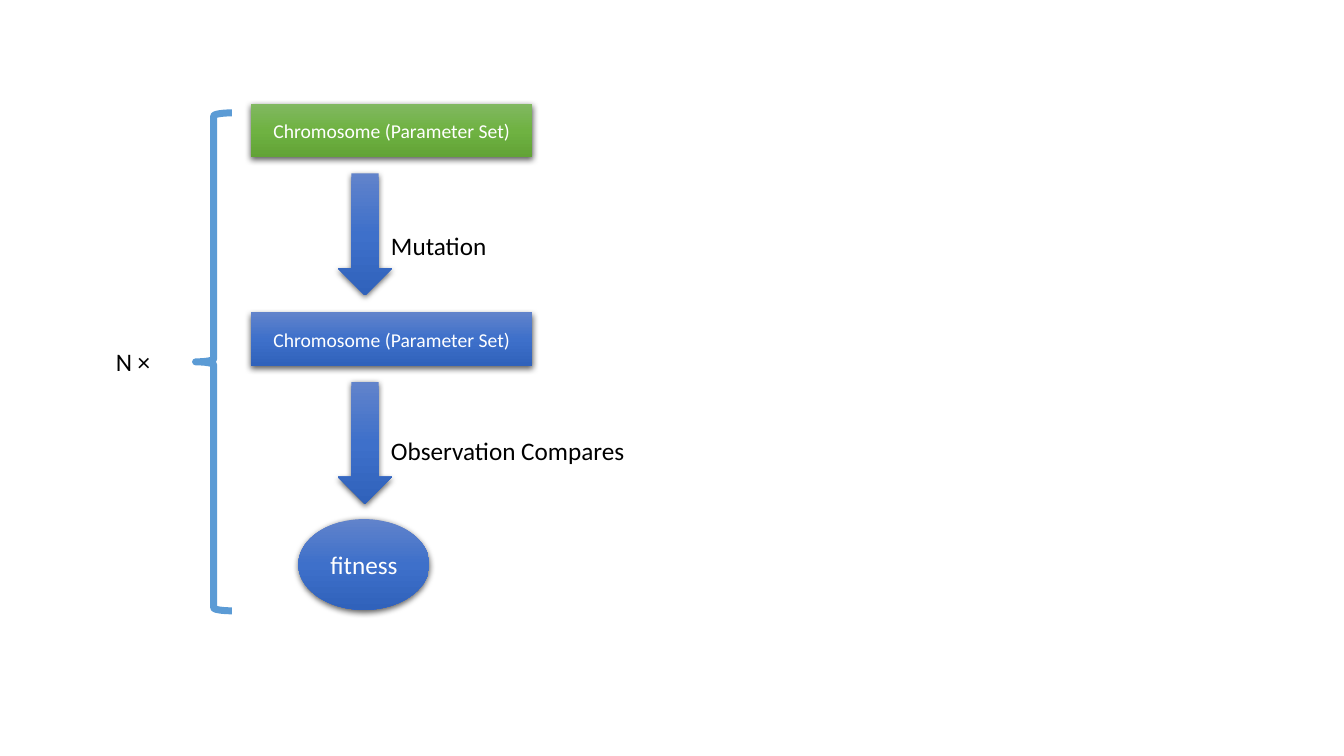
from lxml import etree
from pptx import Presentation
from pptx import util as u
from pptx.dml.color import RGBColor
from pptx.enum import shapes, text
from pptx.oxml.ns import nsdecls, qn

# Content
FONT = "Calibri"
COLORS = {"brace": "5B9BD5", "label": "000000", "node": "FFFFFF", "shadow": "000000"}
GRADIENTS = {
    "green": ["81B861", "6FB242", "62A336"],
    "blue": ["6183CB", "3E70CA", "3062BB"],
}
CHROMOSOMES = [("Chromosome (Parameter Set)", "green"), ("Chromosome (Parameter Set)", "blue")]
FITNESS = "fitness"
# text, left, top, width, height, wraps
LABELS = [
    ("Mutation", 3.78, 2.24, 1.34, 0.4, True),
    ("Observation Compares", 3.78, 4.27, 2.54, 0.4, False),
    ("N ×", 1.05, 3.39, 0.61, 0.4, False),
]

# Layout: each step is a chromosome box followed by an arrow
FIRST_TOP, STEP = 1.03, 2.07
BOX_LEFT, BOX_WIDTH, BOX_HEIGHT = 2.49, 2.79, 0.53
ARROW_LEFT, ARROW_OFFSET, ARROW_WIDTH, ARROW_HEIGHT = 3.35, 0.69, 0.54, 1.21
FITNESS_PLACE = (2.96, 5.15, 1.3, 0.9)
BRACE_PLACE = (1.94, 1.12, 0.36, 4.94)

presentation = Presentation()
presentation.slide_width, presentation.slide_height = u.Inches(13.33), u.Inches(7.5)
slide = presentation.slides.add_slide(presentation.slide_layouts[6])


def write(shape, words, size, color):
    shape.text_frame.text = words
    font = shape.text_frame.paragraphs[0].runs[0].font
    font.name, font.size = FONT, u.Pt(size)
    font.color.rgb = RGBColor.from_string(COLORS[color])


def add_shape(kind, place):
    shape = slide.shapes.add_shape(kind, *map(u.Inches, place))
    shape.shadow.inherit = False
    return shape


def add_node(kind, place, gradient, words=None, size=18):
    shape = add_shape(kind, place)
    shape.line.fill.background()
    # Three-stop gradient running from top to bottom
    shape.fill.gradient()
    shape.fill.gradient_angle = 270
    properties = shape._element.spPr
    stops = properties.find(".//" + qn("a:gsLst"))
    for stop in list(stops):
        stops.remove(stop)
    for index, color in enumerate(GRADIENTS[gradient]):
        stop = etree.SubElement(stops, qn("a:gs"), pos=str(index * 50000))
        etree.SubElement(stop, qn("a:srgbClr"), val=color)
    # Soft shadow below the shape
    properties.find(qn("a:effectLst")).append(etree.fromstring(
        f'<a:outerShdw {nsdecls("a")} blurRad="{u.Pt(4.5)}" dist="{u.Pt(1.5)}" '
        f'dir="5400000" algn="ctr" rotWithShape="0"><a:srgbClr val="{COLORS["shadow"]}">'
        '<a:alpha val="63000"/></a:srgbClr></a:outerShdw>'))
    if words:
        write(shape, words, size, "node")
        shape.text_frame.vertical_anchor = text.MSO_ANCHOR.MIDDLE
        shape.text_frame.paragraphs[0].alignment = text.PP_ALIGN.CENTER


# Chromosomes and arrows
for index, (words, gradient) in enumerate(CHROMOSOMES):
    top = FIRST_TOP + index * STEP
    add_node(shapes.MSO_SHAPE.RECTANGLE, (BOX_LEFT, top, BOX_WIDTH, BOX_HEIGHT),
             gradient, words, 14)
    add_node(shapes.MSO_SHAPE.DOWN_ARROW,
             (ARROW_LEFT, top + ARROW_OFFSET, ARROW_WIDTH, ARROW_HEIGHT), "blue")

# Fitness
add_node(shapes.MSO_SHAPE.OVAL, FITNESS_PLACE, "blue", FITNESS)

# Labels
for words, *place, wraps in LABELS:
    label = slide.shapes.add_textbox(*map(u.Inches, place))
    write(label, words, 18, "label")
    label.text_frame.word_wrap = wraps
    label.text_frame.auto_size = text.MSO_AUTO_SIZE.SHAPE_TO_FIT_TEXT

# Brace
brace = add_shape(shapes.MSO_SHAPE.LEFT_BRACE, BRACE_PLACE)
brace.fill.background()
brace.line.color.rgb = RGBColor.from_string(COLORS["brace"])
brace.line.width = u.Pt(5)

presentation.save("out.pptx")
